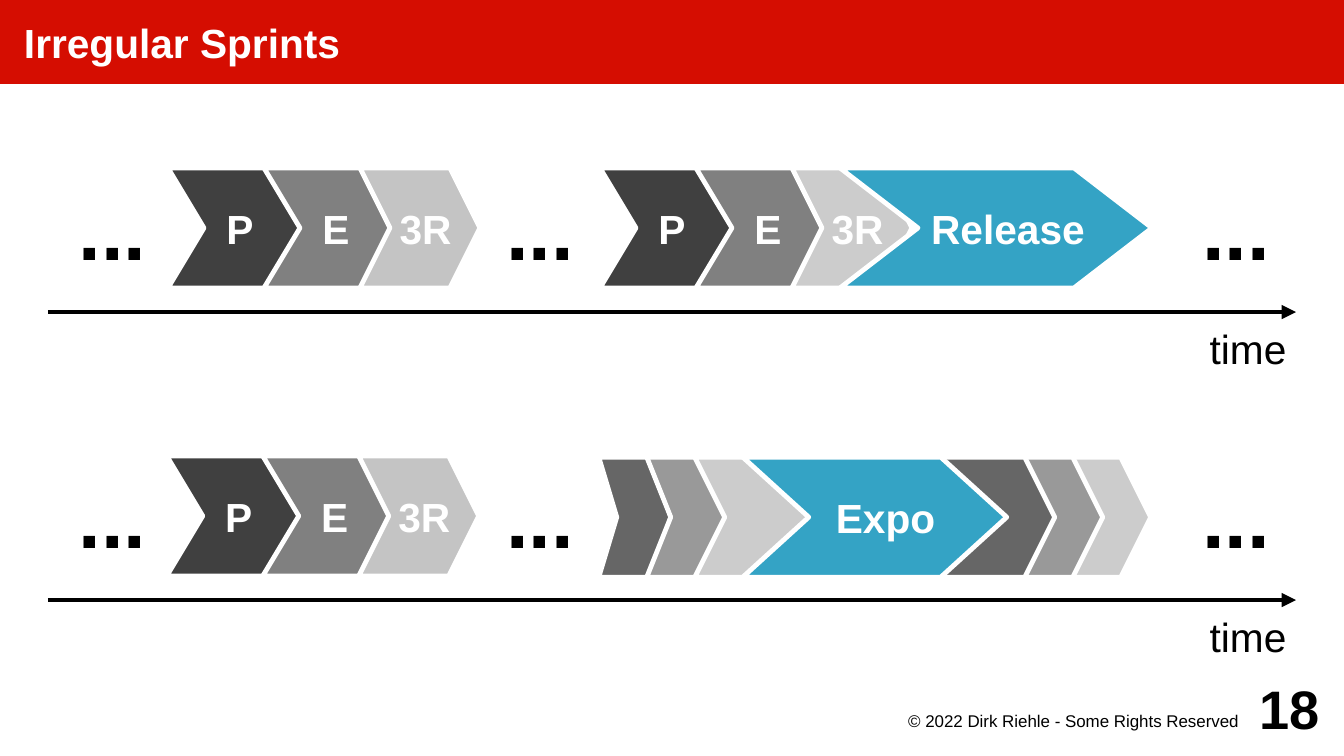
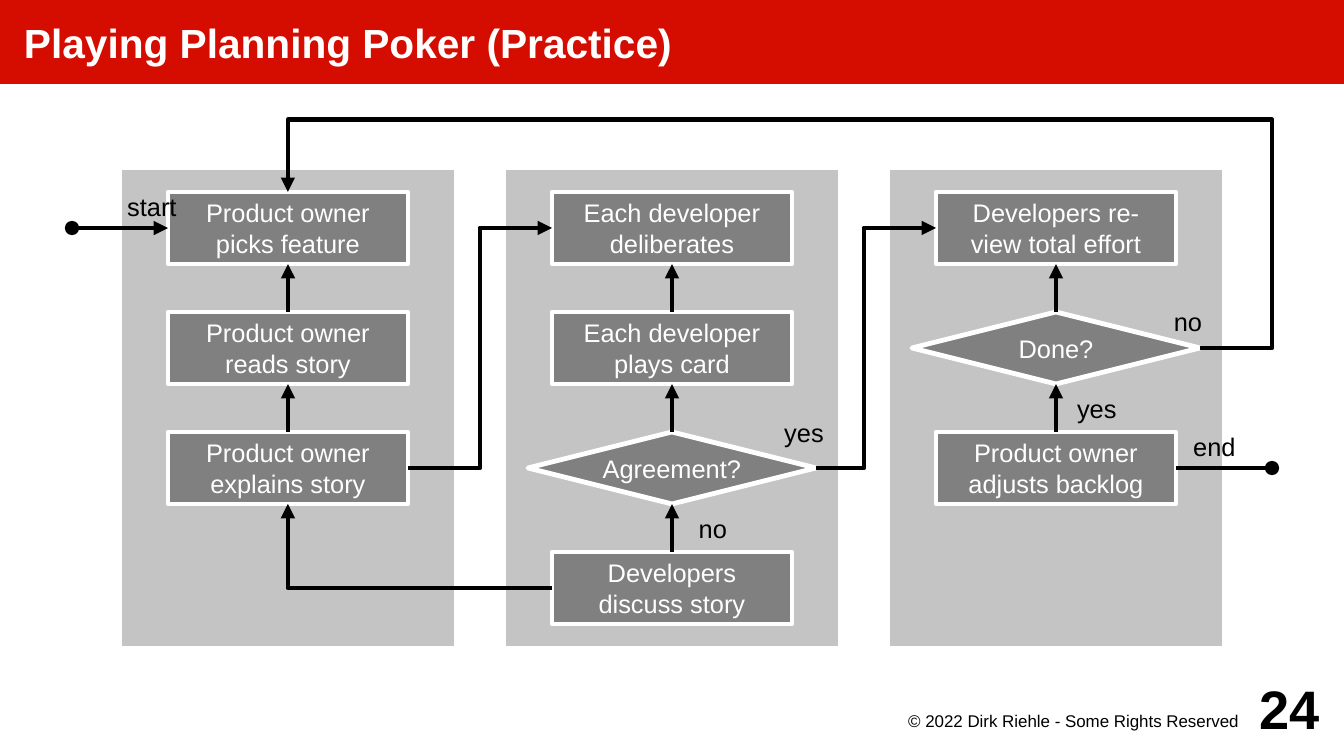
from lxml.etree import SubElement
from pptx import Presentation
from pptx.dml.color import RGBColor
from pptx.enum.shapes import MSO_CONNECTOR, MSO_SHAPE
from pptx.enum.text import MSO_ANCHOR, PP_ALIGN
from pptx.oxml.ns import qn
from pptx.util import Cm, Pt

COLS, ROWS = 56, 31.5
TOP, LEFT, BOTTOM, RIGHT = range(4)
FONT = "Arial"
RED, BLUE, WHITE, BLACK = "D50D01", "34A3C5", "FFFFFF", "000000"
COAL, SLATE, STONE, SILVER = "404040", "808080", "C4C4C4", "CCCCCC"
IRON, ASH = "666666", "999999"


def grid(*units):
    return [Cm(unit / 2) for unit in units]


def tint(code):
    return RGBColor.from_string(code)


def write(frame, text, size=15, color=BLACK, bold=False, align=PP_ALIGN.CENTER,
          anchor=MSO_ANCHOR.MIDDLE, pad=(0.4, 0.4, 0.4, 0.4), wrap=True):
    frame.word_wrap = wrap
    frame.vertical_anchor = anchor
    (frame.margin_left, frame.margin_top,
     frame.margin_right, frame.margin_bottom) = grid(*pad)
    for index, part in enumerate(text.split("\n")):
        para = frame.add_paragraph() if index else frame.paragraphs[0]
        para.text = part
        para.alignment = align
        for run in para.runs:
            font = run.font
            font.name, font.size, font.bold = FONT, Pt(size), bold
            font.color.rgb = tint(color)


class Deck:
    width = Pt(2.83)

    def __init__(self):
        self.show = Presentation()
        self.show.slide_width, self.show.slide_height = grid(COLS, ROWS)
        self.slide = None

    def start(self, title, number):
        self.slide = self.show.slides.add_slide(self.show.slide_layouts[5])
        head = self.slide.shapes.title
        head.left, head.top, head.width, head.height = grid(0, 0, COLS, 3.5)
        head.fill.solid()
        head.fill.fore_color.rgb = tint(RED)
        write(head.text_frame, title, size=24, color=WHITE, bold=True,
              align=PP_ALIGN.LEFT, pad=(1, 0, 0, 0))
        self.label("© 2022 Dirk Riehle - Some Rights Reserved", 36, 29.5, 16, 1.5,
                   size=10, align=PP_ALIGN.RIGHT, anchor=MSO_ANCHOR.TOP,
                   pad=(0, 0.1, 0.4, 0))
        self.label(str(number), 51, 28, 4, 3, size=32, bold=True,
                   align=PP_ALIGN.RIGHT, pad=(0, 0, 0, 0))

    def label(self, text, left, top, wide, high, **style):
        box = self.slide.shapes.add_textbox(*grid(left, top, wide, high))
        write(box.text_frame, text, **style)

    def block(self, left, top, wide, high, fill, text="",
              kind=MSO_SHAPE.RECTANGLE, **style):
        shape = self.slide.shapes.add_shape(kind, *grid(left, top, wide, high))
        shape.shadow.inherit = False
        shape.fill.solid()
        shape.fill.fore_color.rgb = tint(fill)
        shape.line.color.rgb = tint(WHITE)
        shape.line.width = self.width
        if text:
            write(shape.text_frame, text, color=WHITE, wrap=False, **style)
        return shape

    def chevron(self, left, top, wide, fill, text="", shift=0):
        high = 5
        shape = self.block(left, top, wide, high, fill, text, MSO_SHAPE.CHEVRON,
                           size=24, bold=True, pad=(shift, 0.4, 0, 0.4))
        shape.adjustments[0] = wide / 4 / min(wide, high)

    def line(self, begin=(0, 0), end=(0, 0), source=None, target=None,
             head=None, tail="triangle", bend=None, turns=()):
        kind = MSO_CONNECTOR.ELBOW if bend else MSO_CONNECTOR.STRAIGHT
        wire = self.slide.shapes.add_connector(kind, *grid(*begin, *end))
        if source:
            wire.begin_connect(*source)
        if target:
            wire.end_connect(*target)
        wire.line.color.rgb = tint(BLACK)
        wire.line.width = self.width
        props = wire.element.spPr
        stroke = props.find(qn("a:ln"))
        for tag, tip in (("a:headEnd", head), ("a:tailEnd", tail)):
            if tip:
                SubElement(stroke, qn(tag), type=tip)
        SubElement(props, qn("a:effectLst"))
        if bend:
            shape = props.find(qn("a:prstGeom"))
            shape.set("prst", f"bentConnector{bend}")
            guides = shape.find(qn("a:avLst"))
            for index, share in enumerate(turns, 1):
                SubElement(guides, qn("a:gd"), name=f"adj{index}",
                           fmla=f"val {round(share * 100000)}")

    def sprint(self, left, top, last=STONE):
        steps = ((COAL, "P", 6, 0), (SLATE, "E", 6, 0), (last, "3R", 5, 0.46))
        for index, (fill, text, wide, shift) in enumerate(steps):
            self.chevron(left + 4 * index, top, wide, fill, text, shift)

    def track(self, top):
        self.line((2, top + 6), (54, top + 6))
        self.label("time", 49, top + 6, 5, 3, size=24, align=PP_ALIGN.RIGHT)
        for left in (2.2, 20, 49):
            self.label("...", left, top, 5, 5, size=48, bold=True)


def sprints(deck):
    deck.start("Irregular Sprints", 18)
    first, second = 7, 19
    deck.track(first)
    deck.sprint(7, first)
    deck.sprint(25, first, SILVER)
    deck.chevron(35, first, 13, BLUE, "Release", 1)
    deck.track(second)
    deck.sprint(6.95, second)
    for left, wide, fill in ((24.95, 3, IRON), (26.95, 4, ASH), (28.95, 5, SILVER),
                             (42.95, 5, SILVER), (40.95, 5, ASH), (38.95, 5, IRON)):
        deck.chevron(left, second + 0.05, wide, fill)
    deck.chevron(30.95, second + 0.05, 11, BLUE, "Expo", 0.9)


def poker(deck):
    deck.start("Playing Planning Poker (Practice)", 24)
    lanes = (
        ("Product owner\npicks feature", "Product owner\nreads story",
         "Product owner\nexplains story"),
        ("Each developer\ndeliberates", "Each developer\nplays card",
         "Agreement?", "Developers\ndiscuss story"),
        ("Developers re-\vview total effort", "Done?",
         "Product owner\nadjusts backlog"),
    )
    for lane in range(len(lanes)):
        deck.block(5 + 16 * lane, 7, 14, 20, STONE)
    nodes = []
    for lane, texts in enumerate(lanes):
        left, stack = 7 + 16 * lane, []
        for row, text in enumerate(texts):
            top = 8 + 5 * row
            if text.endswith("?"):
                node = deck.block(left - 1, top, 12, 3, SLATE, text, MSO_SHAPE.DIAMOND)
            else:
                node = deck.block(left, top, 10, 3, SLATE, text)
            stack.append(node)
        nodes.append(stack)
    pick, _, explain = nodes[0]
    think, _, agree, discuss = nodes[1]
    review, done, adjust = nodes[2]
    for stack in nodes:
        for upper, lower in zip(stack, stack[1:]):
            if lower is not discuss or upper is agree:
                deck.line(source=(lower, TOP), target=(upper, BOTTOM))
    deck.line(source=(explain, RIGHT), target=(think, LEFT), bend=3, turns=(0.5,))
    deck.line(source=(agree, RIGHT), target=(review, LEFT), bend=3, turns=(0.4,))
    deck.line(source=(discuss, LEFT), target=(explain, BOTTOM), bend=2)
    deck.line(source=(done, RIGHT), target=(pick, TOP), bend=4,
              turns=(-3 / 38, 9.5 / 6.5))
    deck.line(end=(3, 9.5), source=(pick, LEFT), head="triangle", tail="oval")
    deck.line(end=(53, 19.5), source=(adjust, RIGHT), tail="oval")
    for text, left, top, wide in (("no", 28.2, 21, 3), ("no", 48, 12.4, 3),
                                  ("yes", 32, 17, 3), ("yes", 44.2, 16, 3),
                                  ("start", 3.33, 7.6, 6), ("end", 48.6, 17.6, 4)):
        deck.label(text, left, top, wide, 2)


def main():
    deck = Deck()
    sprints(deck)
    poker(deck)
    deck.show.save("out.pptx")


if __name__ == "__main__":
    main()
